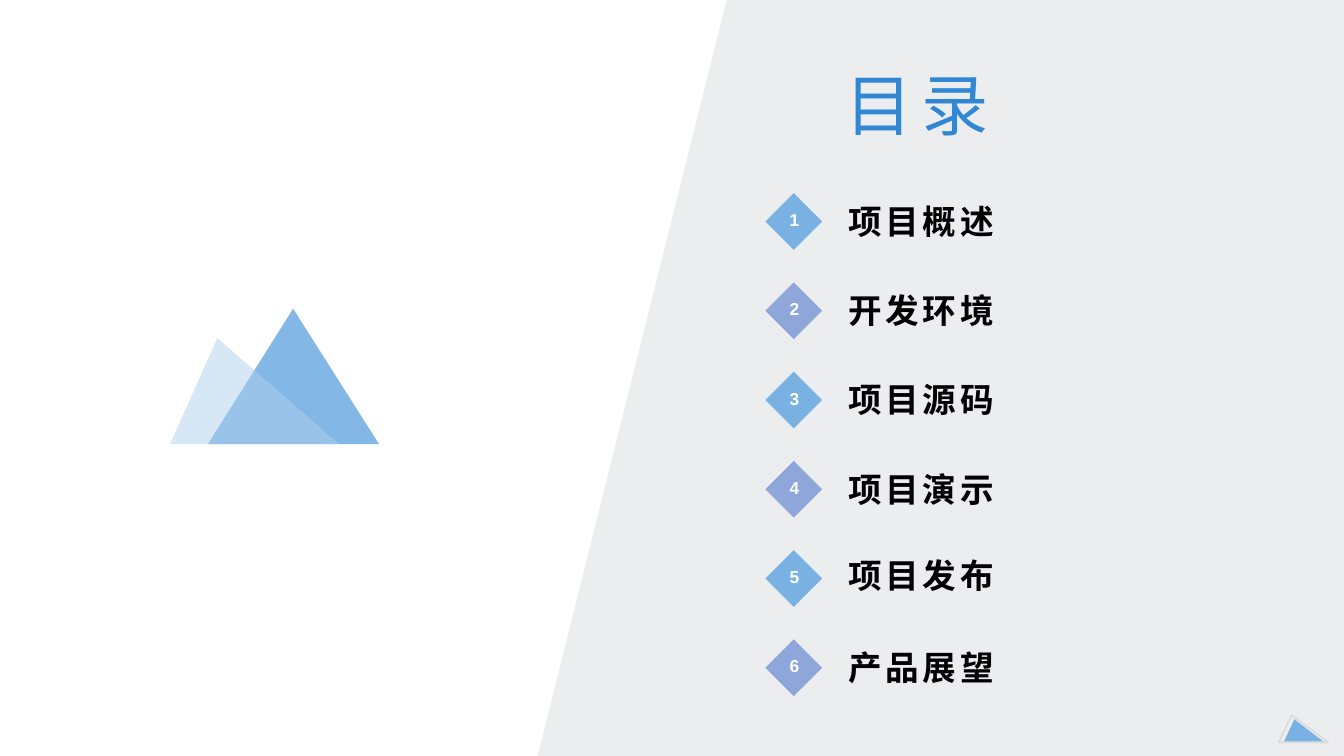
import pptx
import pptx.dml.color
import pptx.enum.shapes
import pptx.enum.text
import pptx.oxml
import pptx.oxml.ns
import pptx.util

PX = 9525
WIDTH, HEIGHT = 1280, 720
THEME = {
    "font": "Arial",
    "title": "3187D4", "title_size": 48,
    "label": "000000", "label_size": 24,
    "number": "FFFFFF", "number_size": 12.4,
    "panel": "ECEDEF", "pale": "AFD0EE", "outline": "D9D9D9",
    "diamonds": ("79B1E3", "8EA6D9"),
}
SHAPES = pptx.enum.shapes.MSO_SHAPE
ANCHOR = pptx.enum.text.MSO_ANCHOR
ALIGN = pptx.enum.text.PP_ALIGN


def paint(shape, color, opacity=100):
    """Give a shape a flat fill, with no line or shadow."""
    shape.shadow.inherit = False
    shape.line.fill.background()
    shape.fill.solid()
    shape.fill.fore_color.rgb = pptx.dml.color.RGBColor.from_string(color)
    if opacity < 100:
        tint = shape.fill._xPr.find(".//" + pptx.oxml.ns.qn("a:srgbClr"))
        alpha = pptx.oxml.parse_xml(
            f'<a:alpha {pptx.oxml.ns.nsdecls("a")} val="{opacity * 1000}"/>')
        tint.append(alpha)


def write(shape, text, role, align, bold, spacing=0):
    """Set one vertically centred line in the theme style of its role."""
    frame = shape.text_frame
    frame.text = text
    frame.word_wrap = True
    frame.auto_size = pptx.enum.text.MSO_AUTO_SIZE.NONE
    frame.vertical_anchor = ANCHOR.MIDDLE
    para = frame.paragraphs[0]
    para.alignment = align
    span = para.runs[0]
    span.font.name = THEME["font"]
    span.font.size = pptx.util.Pt(THEME[role + "_size"])
    span.font.bold = bold
    span.font.color.rgb = pptx.dml.color.RGBColor.from_string(THEME[role])
    if spacing:
        span.font._element.set("spc", str(int(spacing * 100)))


deck = pptx.Presentation()
deck.slide_width, deck.slide_height = WIDTH * PX, HEIGHT * PX
page = deck.slides.add_slide(deck.slide_layouts[5])

# Slanted panel
outline = page.shapes.build_freeform(692, 0, scale=PX)
outline.add_line_segments([(WIDTH, 0), (WIDTH, HEIGHT), (512, HEIGHT)])
paint(outline.convert_to_shape(), THEME["panel"])

# Mountains on the left and the small mark in the corner
triangles = [
    (198, 294, 163, 129, 0.498, THEME["title"], 60),
    (162, 322, 161, 101, 0.28, THEME["pale"], 50),
    (1218, 681, 47, 26, 0.262, None, 100),
    (1223, 685, 37, 21, 0.262, THEME["diamonds"][0], 100),
]
for left, top, width, height, apex, color, opacity in triangles:
    triangle = page.shapes.add_shape(
        SHAPES.ISOSCELES_TRIANGLE, left * PX, top * PX, width * PX, height * PX)
    triangle.adjustments[0] = apex
    if color:
        paint(triangle, color, opacity)
    else:
        triangle.shadow.inherit = False
        triangle.fill.background()
        triangle.line.color.rgb = pptx.dml.color.RGBColor.from_string(THEME["outline"])
        triangle.line.width = pptx.util.Pt(1)

# Title, brought in front of the panel
title = page.shapes.title
title.left, title.top, title.width, title.height = 796 * PX, 58 * PX, 182 * PX, 81 * PX
write(title, "目录", "title", ALIGN.LEFT, False, 6)
page.shapes._spTree.append(title._element)

# Contents: a numbered diamond and a label on each row
FIRST_ROW, ROW_PITCH, DIAMOND = 184, 85, 54
entries = [("项目概述", 0), ("开发环境", 0), ("项目源码", 0),
           ("项目演示", 0), ("项目发布", -3), ("产品展望", 0)]
for index, (entry, nudge) in enumerate(entries):
    top = FIRST_ROW + index * ROW_PITCH
    diamond = page.shapes.add_shape(
        SHAPES.DIAMOND, 729 * PX, top * PX, DIAMOND * PX, DIAMOND * PX)
    paint(diamond, THEME["diamonds"][index % 2])
    write(diamond, str(index + 1), "number", ALIGN.CENTER, True)
    diamond.text_frame.paragraphs[0].line_spacing = 0.8

    label = page.shapes.add_textbox(799 * PX, (top - 9 + nudge) * PX, 390 * PX, 66 * PX)
    write(label, entry, "label", ALIGN.LEFT, True, 2.5)
    label.text_frame.margin_bottom = 0

deck.save("out.pptx")
